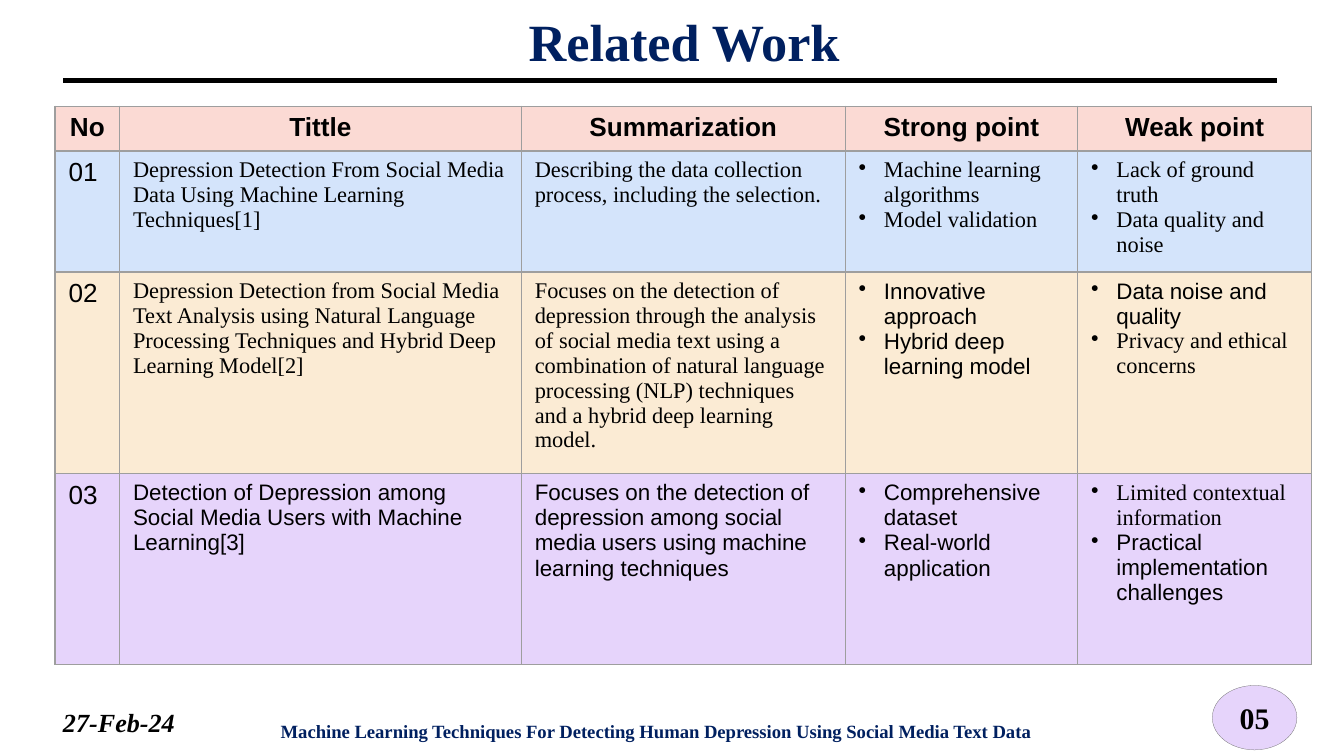
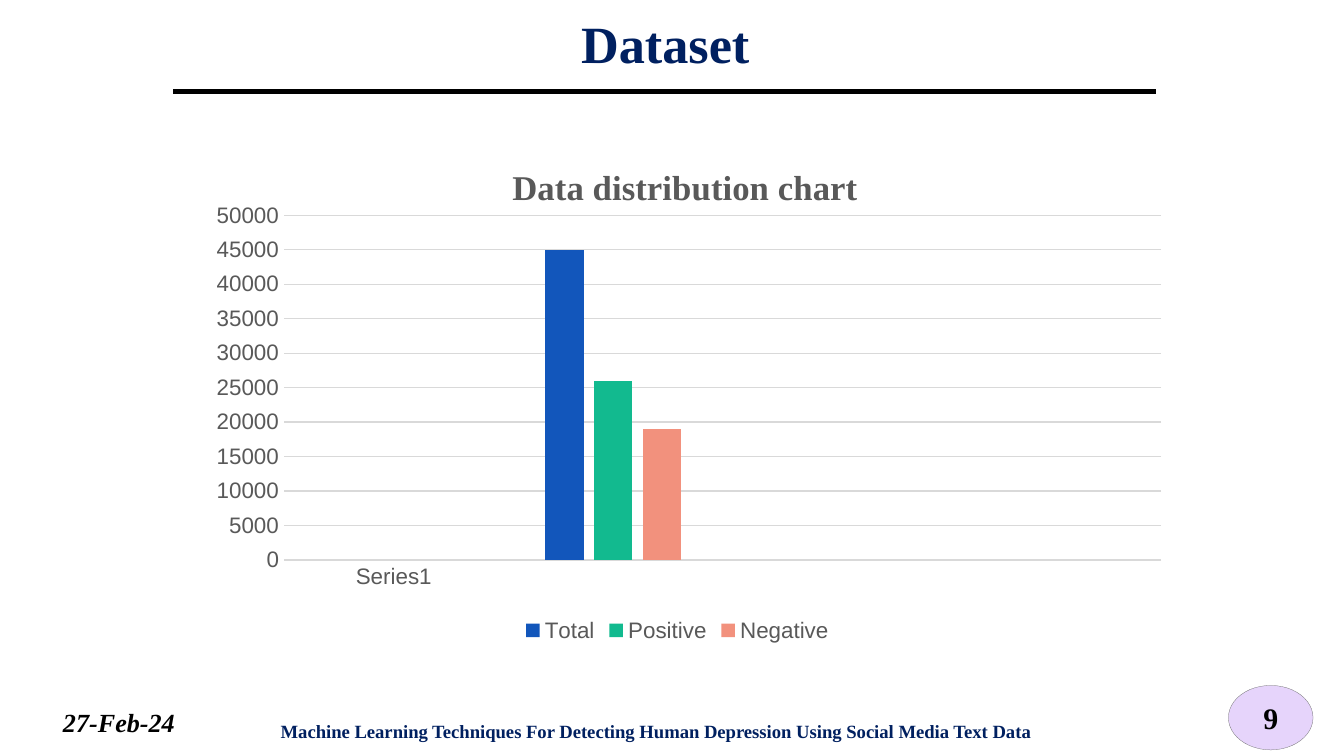
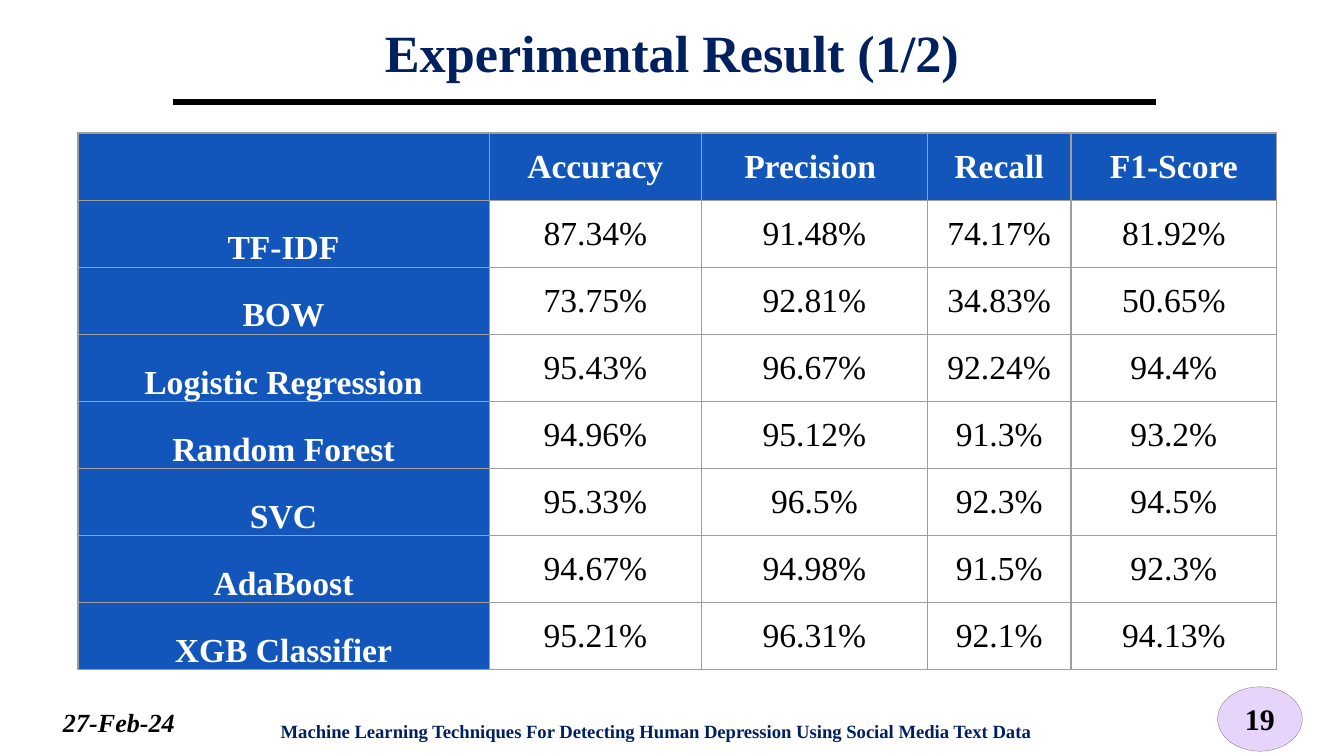
"""Builds three slides of a talk on detecting depression in social media text."""
from lxml import etree
from pptx import Presentation, util as u
from pptx.chart.data import CategoryChartData
from pptx.dml.color import RGBColor
from pptx.enum import chart as charts, shapes, text
from pptx.oxml import parse_xml
from pptx.oxml.ns import nsdecls, qn

COLOURS = {
    "navy": "002060", "black": "000000", "white": "FFFFFF", "grey": "595959",
    "grid": "D9D9D9", "border": "9E9E9E", "outline": "6C6C6C",
    "pink": "FBDAD4", "sky": "D4E4FB", "sand": "FBEBD4", "lilac": "E6D4FB",
    "blue": "1256BB", "green": "12BA8F", "coral": "F2917D",
}
SERIF, SANS = "Times New Roman", "Arial"
CENTER = text.PP_ALIGN.CENTER
TOP, MIDDLE, BOTTOM = text.MSO_ANCHOR.TOP, text.MSO_ANCHOR.MIDDLE, text.MSO_ANCHOR.BOTTOM
COLUMNS = 100
TALK = "Machine Learning Techniques For Detecting Human Depression Using Social Media Text Data"
DATE = "27-Feb-24"


def rgb(name):
    return RGBColor.from_string(COLOURS[name])


class Deck:
    """Holds the style and the current slide, measured on a 100-column grid."""

    def __init__(self):
        self.prs = Presentation()
        self.prs.slide_width, self.prs.slide_height = u.Inches(10), u.Inches(5.625)
        self.slide = None

    def grid(self, *lengths):
        return [round(self.prs.slide_width * length / COLUMNS) for length in lengths]

    def font(self, font, size, colour="black", face=SERIF, bold=False, italic=False):
        font.name, font.size, font.bold, font.italic = face, u.Pt(size), bold, italic
        font.color.rgb = rgb(colour)

    def wording(self, paragraph, words, size, align=None, bullet=False, **style):
        paragraph.text = words
        paragraph.alignment = align
        if bullet:
            props = paragraph._p.get_or_add_pPr()
            props.set("marL", str(u.Pt(13.5)))
            props.set("indent", str(-u.Pt(13.5)))
            colour = etree.SubElement(props, qn("a:buClr"))
            etree.SubElement(colour, qn("a:srgbClr"), val=COLOURS["black"])
            etree.SubElement(props, qn("a:buChar"), char="•")
        self.font(paragraph.font, size, **style)

    def label(self, place, words, size, anchor=TOP, **style):
        frame = self.slide.shapes.add_textbox(*self.grid(*place)).text_frame
        frame.word_wrap, frame.vertical_anchor = True, anchor
        self.wording(frame.paragraphs[0], words, size, **style)

    def rule(self, left, right, row):
        line = self.slide.shapes.add_connector(
            shapes.MSO_CONNECTOR.STRAIGHT, *self.grid(left, row, right, row))
        line.line.color.rgb, line.line.width = rgb("black"), u.Pt(3)
        etree.SubElement(line._element.spPr, qn("a:effectLst"))

    def badge(self, left, top, number):
        oval = self.slide.shapes.add_shape(
            shapes.MSO_SHAPE.OVAL, *self.grid(left, top, 6.3, 4.8))
        oval.shadow.inherit = False
        oval.fill.solid()
        oval.fill.fore_color.rgb = rgb("lilac")
        oval.line.color.rgb, oval.line.width = rgb("outline"), u.Pt(0.15)
        oval.text_frame.vertical_anchor = MIDDLE
        self.wording(oval.text_frame.paragraphs[0], number, 16, align=CENTER, bold=True)

    def page(self, title, title_place, rule, badge):
        self.slide = self.prs.slides.add_slide(self.prs.slide_layouts[6])
        self.label(title_place, title, 28, MIDDLE, align=CENTER, colour="navy", bold=True)
        self.rule(*rule)
        self.label((19.9, 53.1, 66.9, 2.7), TALK, 10, colour="navy", bold=True)
        self.label((3.7, 52.1, 12.8, 3.4), DATE, 14, bold=True, italic=True)
        self.badge(*badge)

    def table(self, left, top, widths, heights):
        table = self.slide.shapes.add_table(
            len(heights), len(widths),
            *self.grid(left, top, sum(widths), sum(heights))).table
        table.first_row = table.horz_banding = False
        for column, width in zip(table.columns, self.grid(*widths)):
            column.width = width
        for row, height in zip(table.rows, self.grid(*heights)):
            row.height = height
        return table

    def cell(self, cell, lines, size, fill=None, anchor=TOP, tight=False, **style):
        props = cell._tc.get_or_add_tcPr()
        for side in "LRTB":
            props.append(parse_xml(
                f'<a:ln{side} {nsdecls("a")} w="{u.Pt(0.75)}"><a:solidFill>'
                f'<a:srgbClr val="{COLOURS["border"]}"/></a:solidFill></a:ln{side}>'))
        if fill:
            cell.fill.solid()
            cell.fill.fore_color.rgb = rgb(fill)
        else:
            cell.fill.background()
        cell.vertical_anchor = anchor
        if tight:
            cell.margin_left = cell.margin_right = cell.margin_top = u.Inches(0.01)
            cell.margin_bottom = 0
        frame = cell.text_frame
        for index, (face, words) in enumerate(lines):
            paragraph = frame.add_paragraph() if index else frame.paragraphs[0]
            self.wording(paragraph, words, size, face=face, **style)

    def layout(self, parent, index, inner=False, **shares):
        for old in parent.findall(qn("c:layout")):
            parent.remove(old)
        target = '<c:layoutTarget val="inner"/>' if inner else ""
        modes = "".join(f'<c:{key}Mode val="edge"/>' for key in "xy")
        values = "".join(f'<c:{key} val="{share}"/>' for key, share in shares.items())
        parent.insert(index, parse_xml(
            f'<c:layout {nsdecls("c")}><c:manualLayout>{target}{modes}{values}'
            '</c:manualLayout></c:layout>'))

    def column_chart(self, place, title, categories, series):
        data = CategoryChartData()
        data.categories = categories
        for name, values, _ in series:
            data.add_series(name, values)
        chart = self.slide.shapes.add_chart(
            charts.XL_CHART_TYPE.COLUMN_CLUSTERED, *self.grid(*place), data).chart
        self.font(chart.font, 10, face=SANS)
        self.wording(chart.chart_title.text_frame.paragraphs[0], title, 18.6,
                     colour="grey", bold=True)
        self.layout(chart.chart_title._element, 1, x=0.33, y=0.05)
        self.layout(chart._chartSpace.chart.plotArea, 0, inner=True,
                    x=0.11, y=0.16, w=0.87, h=0.67)
        chart.has_legend = True
        chart.legend.position = charts.XL_LEGEND_POSITION.BOTTOM
        chart.legend.include_in_layout = False
        for font in (chart.legend.font, chart.category_axis.tick_labels.font,
                     chart.value_axis.tick_labels.font):
            self.font(font, 12, "grey", SANS)
        for axis in (chart.category_axis, chart.value_axis):
            axis.major_tick_mark = axis.minor_tick_mark = charts.XL_TICK_MARK.NONE
        chart.value_axis.format.line.fill.background()
        for line in (chart.category_axis.format.line,
                     chart.value_axis.major_gridlines.format.line):
            line.color.rgb, line.width = rgb("grid"), u.Pt(0.75)
        plot = chart.plots[0]
        plot.gap_width, plot.overlap, plot.vary_by_categories = 219, -27, False
        for bars, (_, _, colour) in zip(plot.series, series):
            bars.format.fill.solid()
            bars.format.fill.fore_color.rgb = rgb(colour)


def related_work(deck):
    deck.page("Related Work", (5.9, 1, 90, 4.1), (4.7, 95, 6), (90.2, 51, "05"))
    headings = ["No", "Tittle", "Summarization", "Strong point", "Weak point"]
    papers = [
        ("sky",
         [(SERIF, "Depression Detection From Social Media Data Using Machine Learning "
                  "Techniques[1]")],
         [(SERIF, "Describing the data collection process, including the selection.")],
         [(SERIF, "Machine learning algorithms"), (SERIF, "Model validation")],
         [(SERIF, "Lack of ground truth"), (SERIF, "Data quality and noise")]),
        ("sand",
         [(SERIF, "Depression Detection from Social Media Text Analysis using Natural "
                  "Language Processing Techniques and Hybrid Deep Learning Model[2]")],
         [(SERIF, "Focuses on the detection of depression through the analysis of social "
                  "media text using a combination of natural language processing (NLP) "
                  "techniques and a hybrid deep learning model.")],
         [(SANS, "Innovative approach"), (SANS, "Hybrid deep learning model")],
         [(SANS, "Data noise and quality"), (SERIF, "Privacy and ethical concerns")]),
        ("lilac",
         [(SANS, "Detection of Depression among Social Media Users with Machine "
                 "Learning[3]")],
         [(SANS, "Focuses on the detection of depression among social media users using "
                 "machine learning techniques")],
         [(SANS, "Comprehensive dataset"), (SANS, "Real-world application")],
         [(SERIF, "Limited contextual information"),
          (SANS, "Practical implementation challenges")]),
    ]
    table = deck.table(4.1, 7.9, [4.8, 29.9, 24.1, 17.3, 17.4], [3.2, 8.5, 14.2, 14.2])
    for column, heading in enumerate(headings):
        deck.cell(table.cell(0, column), [(SANS, heading)], 14, "pink",
                  align=CENTER, bold=True)
    for row, (tint, *details) in enumerate(papers, 1):
        deck.cell(table.cell(row, 0), [(SANS, f"{row:02}")], 14, tint)
        for column, lines in enumerate(details, 1):
            deck.cell(table.cell(row, column), lines, 12, tint, bullet=column > 2)


def dataset(deck):
    deck.page("Dataset", (4.5, 0.6, 90, 5.1), (12.9, 86, 6.8), (91.4, 51, "9"))
    counts = [("Total", 45000, "blue"), ("Positive", 26000, "green"),
              ("Negative", 19000, "coral")]
    deck.column_chart(
        (12.9, 9.9, 75, 38.3), "Data distribution chart", ["Series1", "", "", ""],
        [(name, (None, count, None, None), colour) for name, count, colour in counts])


def experimental_result(deck):
    deck.page("Experimental Result (1/2)", (5, 1.3, 90, 5.1), (12.9, 86, 7.6),
              (90.6, 51.1, "19"))
    scores = [
        ("", "Accuracy", "Precision ", "Recall", "F1-Score"),
        ("TF-IDF", "87.34%", "91.48%", "74.17%", "81.92%"),
        ("BOW", "73.75%", "92.81%", "34.83%", "50.65%"),
        ("Logistic Regression", "95.43%", "96.67%", "92.24%", "94.4%"),
        ("Random Forest", "94.96%", "95.12%", "91.3%", "93.2%"),
        ("SVC", "95.33%", "96.5%", "92.3%", "94.5%"),
        ("AdaBoost", "94.67%", "94.98%", "91.5%", "92.3%"),
        ("XGB Classifier", "95.21%", "96.31%", "92.1%", "94.13%"),
    ]
    table = deck.table(5.8, 9.9, [30.6, 15.8, 16.8, 10.7, 15.3], [4.99] * len(scores))
    for row, values in enumerate(scores):
        for column, value in enumerate(values):
            heading = row == 0 or column == 0
            deck.cell(table.cell(row, column), [(SERIF, value)] if value else [], 18,
                      "blue" if heading else None, MIDDLE if column else BOTTOM,
                      tight=True, align=CENTER, bold=heading,
                      colour="white" if heading else "black")


def main():
    deck = Deck()
    related_work(deck)
    dataset(deck)
    experimental_result(deck)
    deck.prs.save("out.pptx")


if __name__ == "__main__":
    main()
